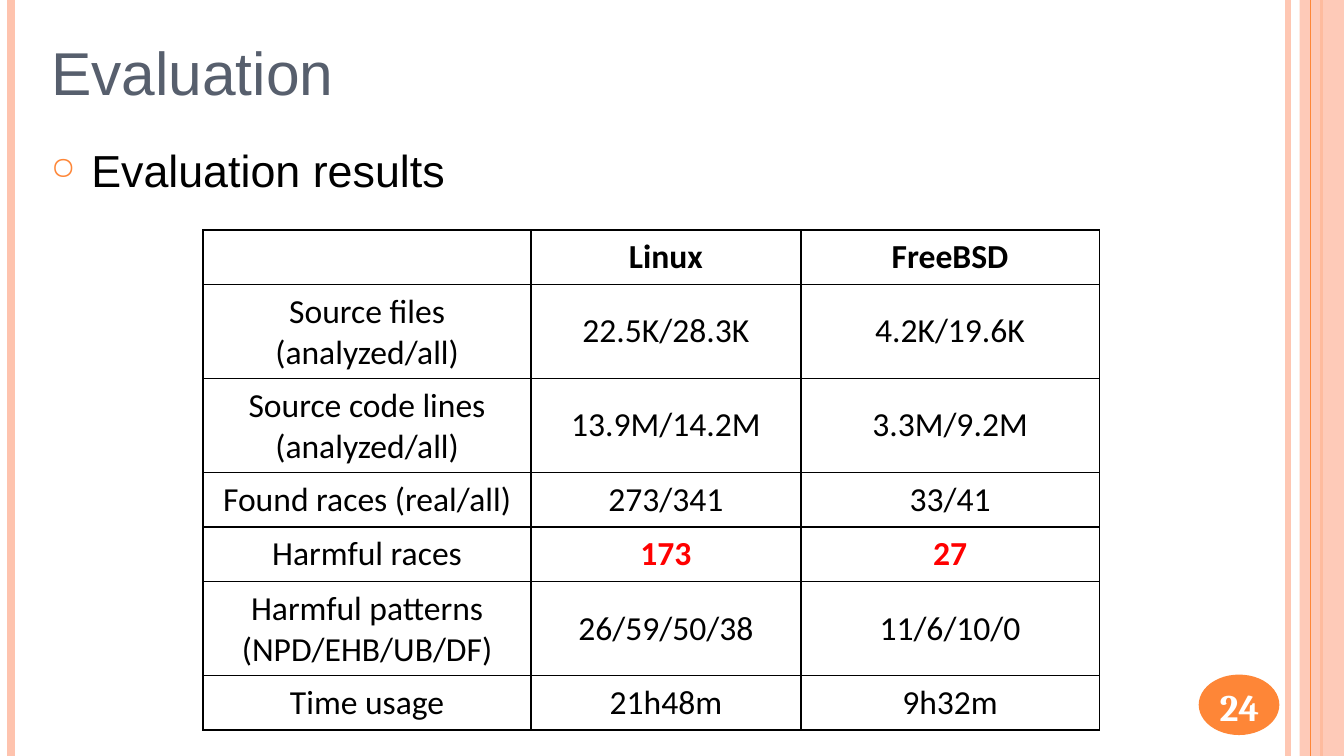
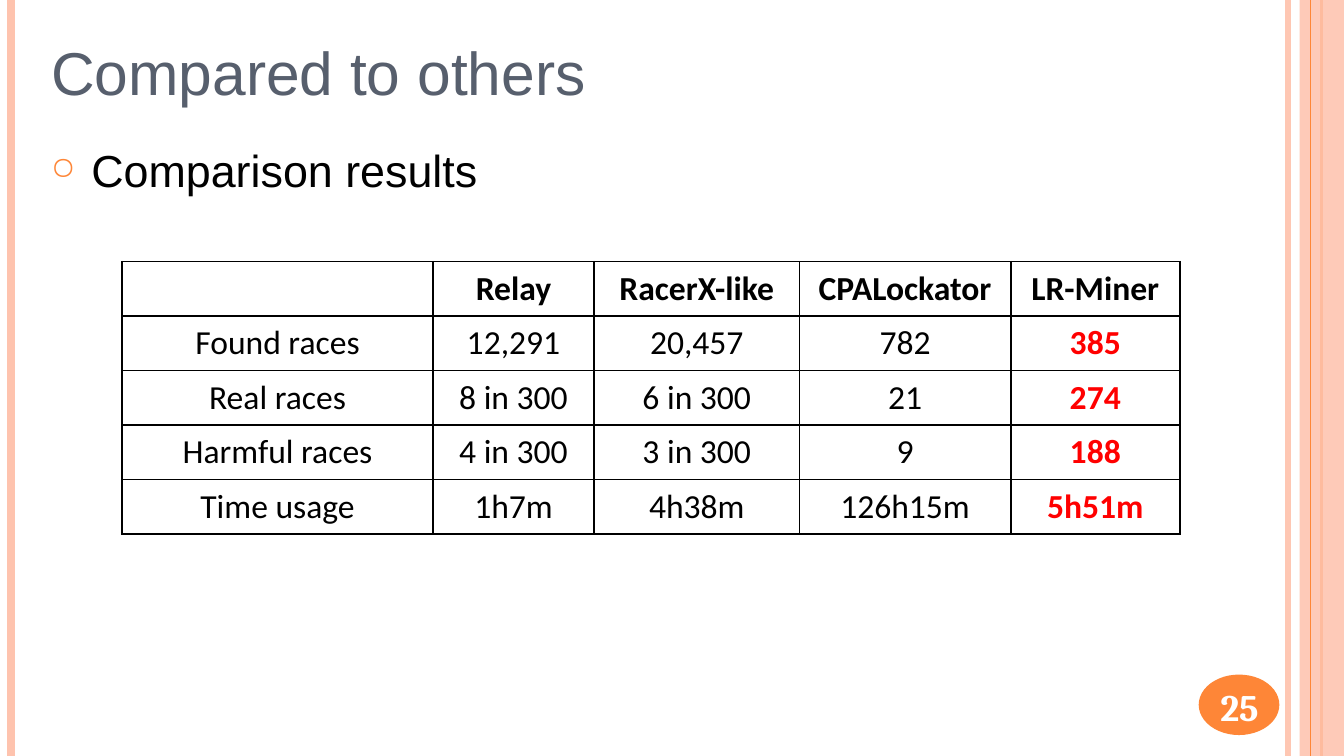
import lxml.etree
import pptx
import pptx.dml.color
import pptx.enum.shapes
import pptx.enum.text
import pptx.oxml
import pptx.oxml.ns
import pptx.util

Pt = pptx.util.Pt
Align = pptx.enum.text.PP_ALIGN
Anchor = pptx.enum.text.MSO_ANCHOR
Shape = pptx.enum.shapes.MSO_SHAPE

WIDTH, HEIGHT = 720, 405
ORANGE, PEACH, SLATE = "FE8637", "FEC3AE", "575F6D"
BLACK, WHITE, RED = "000000", "FFFFFF", "FF0000"


def color(code):
    return pptx.dml.color.RGBColor.from_string(code)


def add_element(parent, tag, **attributes):
    return lxml.etree.SubElement(parent, pptx.oxml.ns.qn(tag), attributes)


def set_opacity(shape, percent):
    for node in shape._element.spPr.iter(pptx.oxml.ns.qn("a:srgbClr")):
        add_element(node, "a:alpha", val=str(percent * 1000))


class Deck:
    row_height = 29.2

    def __init__(self):
        self.presentation = pptx.Presentation()
        self.presentation.slide_width = Pt(WIDTH)
        self.presentation.slide_height = Pt(HEIGHT)
        self.slide = None

    def start_slide(self, title, topic, number):
        layout = self.presentation.slide_layouts[5]
        self.slide = self.presentation.slides.add_slide(layout)
        self.frame()
        self.title(title)
        self.bullet(topic)
        self.text(str(number), 640, 363, 48, 31)

    def format(self, paragraph, font, size, code, bold=False, align=Align.LEFT):
        paragraph.alignment = align
        paragraph.font.name = font
        paragraph.font.size = Pt(size)
        paragraph.font.bold = bold
        paragraph.font.color.rgb = color(code)

    def frame(self):
        self.vertical_line(690, PEACH, 3, 93)
        self.vertical_line(5.8, PEACH, 4.5)
        self.vertical_line(707.8, ORANGE, 1.5)
        self.shape(Shape.RECTANGLE, 696.2, 0, 23.8, HEIGHT, PEACH, 87)
        self.vertical_line(702, ORANGE, 0.75)
        self.shape(Shape.OVAL, 642.2, 361.4, 43.2, 32.4, ORANGE)

    def vertical_line(self, x, code, width, opacity=100):
        line = self.slide.shapes.add_connector(
            pptx.enum.shapes.MSO_CONNECTOR.STRAIGHT, Pt(x), Pt(0), Pt(x), Pt(HEIGHT))
        line.line.color.rgb = color(code)
        line.line.width = Pt(width)
        add_element(line._element.spPr, "a:effectLst")
        if opacity < 100:
            set_opacity(line, opacity)

    def shape(self, kind, left, top, width, height, code, opacity=100):
        shape = self.slide.shapes.add_shape(kind, Pt(left), Pt(top), Pt(width), Pt(height))
        shape.shadow.inherit = False
        shape.fill.solid()
        shape.fill.fore_color.rgb = color(code)
        shape.line.fill.background()
        if opacity < 100:
            set_opacity(shape, opacity)

    def title(self, text):
        title = self.slide.shapes.title
        title.left, title.top, title.width, title.height = Pt(20.2), Pt(15.1), Pt(533.5), Pt(46.1)
        title.text_frame.text = text
        title.text_frame.auto_size = pptx.enum.text.MSO_AUTO_SIZE.NONE
        title.text_frame.vertical_anchor = Anchor.BOTTOM
        self.format(title.text_frame.paragraphs[0], "Arial", 32.4, SLATE)

    def text_box(self, text, left, top, width, height):
        box = self.slide.shapes.add_textbox(Pt(left), Pt(top), Pt(width), Pt(height))
        box.text_frame.word_wrap = True
        box.text_frame.text = text
        return box.text_frame

    def bullet(self, text):
        text_frame = self.text_box(text, 20.2, 70.6, 658.8, 311.8)
        text_frame.margin_top = Pt(6)
        paragraph = text_frame.paragraphs[0]
        properties = paragraph._p.get_or_add_pPr()
        properties.set("marL", str(Pt(21.6)))
        properties.set("indent", str(Pt(-21.6)))
        add_element(add_element(properties, "a:buClr"), "a:srgbClr", val=ORANGE)
        add_element(properties, "a:buSzPct", val="70000")
        add_element(properties, "a:buChar", char="○")
        self.format(paragraph, "Arial", 24, BLACK)

    def text(self, text, left, top, width, height):
        text_frame = self.text_box(text, left, top, width, height)
        text_frame.vertical_anchor = Anchor.MIDDLE
        self.format(text_frame.paragraphs[0], "Cambria", 20, WHITE, True, Align.CENTER)

    def table(self, left, top, height, column_widths, rows, highlights):
        frame = self.slide.shapes.add_table(
            len(rows), len(column_widths), Pt(left), Pt(top), Pt(sum(column_widths)), Pt(height))
        table = frame.table
        table.first_row = table.horz_banding = False
        for column, width in zip(table.columns, column_widths):
            column.width = Pt(width)
        for row_index, values in enumerate(rows):
            table.rows[row_index].height = Pt(self.row_height)
            for column_index, value in enumerate(values):
                highlighted = (row_index, column_index) in highlights
                self.cell(table.cell(row_index, column_index), value,
                          RED if highlighted else BLACK, highlighted or row_index == 0)
        frame.height = Pt(height)

    def cell(self, cell, text, code, bold):
        cell.text = text
        cell.vertical_anchor = Anchor.MIDDLE
        properties = cell._tc.get_or_add_tcPr()
        for side in ("a:lnL", "a:lnR", "a:lnT", "a:lnB"):
            border = add_element(properties, side, w=str(Pt(1)))
            add_element(add_element(border, "a:solidFill"), "a:srgbClr", val=BLACK)
        cell.fill.background()
        for paragraph in cell.text_frame.paragraphs:
            self.format(paragraph, "Calibri", 18, code, bold, Align.CENTER)


def main():
    deck = Deck()

    deck.start_slide("Evaluation", "Evaluation results", 24)
    evaluation = [
        ("", "Linux", "FreeBSD"),
        ("Source files (analyzed/all)", "22.5K/28.3K", "4.2K/19.6K"),
        ("Source code lines\n(analyzed/all)", "13.9M/14.2M", "3.3M/9.2M"),
        ("Found races (real/all)", "273/341", "33/41"),
        ("Harmful races", "173", "27"),
        ("Harmful patterns\n(NPD/EHB/UB/DF)", "26/59/50/38", "11/6/10/0"),
        ("Time usage", "21h48m", "9h32m"),
    ]
    deck.table(108.8, 123.1, 268, [175.8, 144.4, 160], evaluation, {(4, 1), (4, 2)})

    deck.start_slide("Compared to others", "Comparison results", 25)
    comparison = [
        ("", "Relay", "RacerX-like", "CPALockator", "LR-Miner"),
        ("Found races", "12,291", "20,457", "782", "385"),
        ("Real races", "8 in 300", "6 in 300", "21", "274"),
        ("Harmful races", "4 in 300", "3 in 300", "9", "188"),
        ("Time usage", "1h7m", "4h38m", "126h15m", "5h51m"),
    ]
    deck.table(65.5, 140.2, 146, [166.4, 86.4, 110, 113.2, 90.6], comparison,
               {(row, 4) for row in range(1, 5)})

    deck.presentation.save("out.pptx")


if __name__ == "__main__":
    main()
